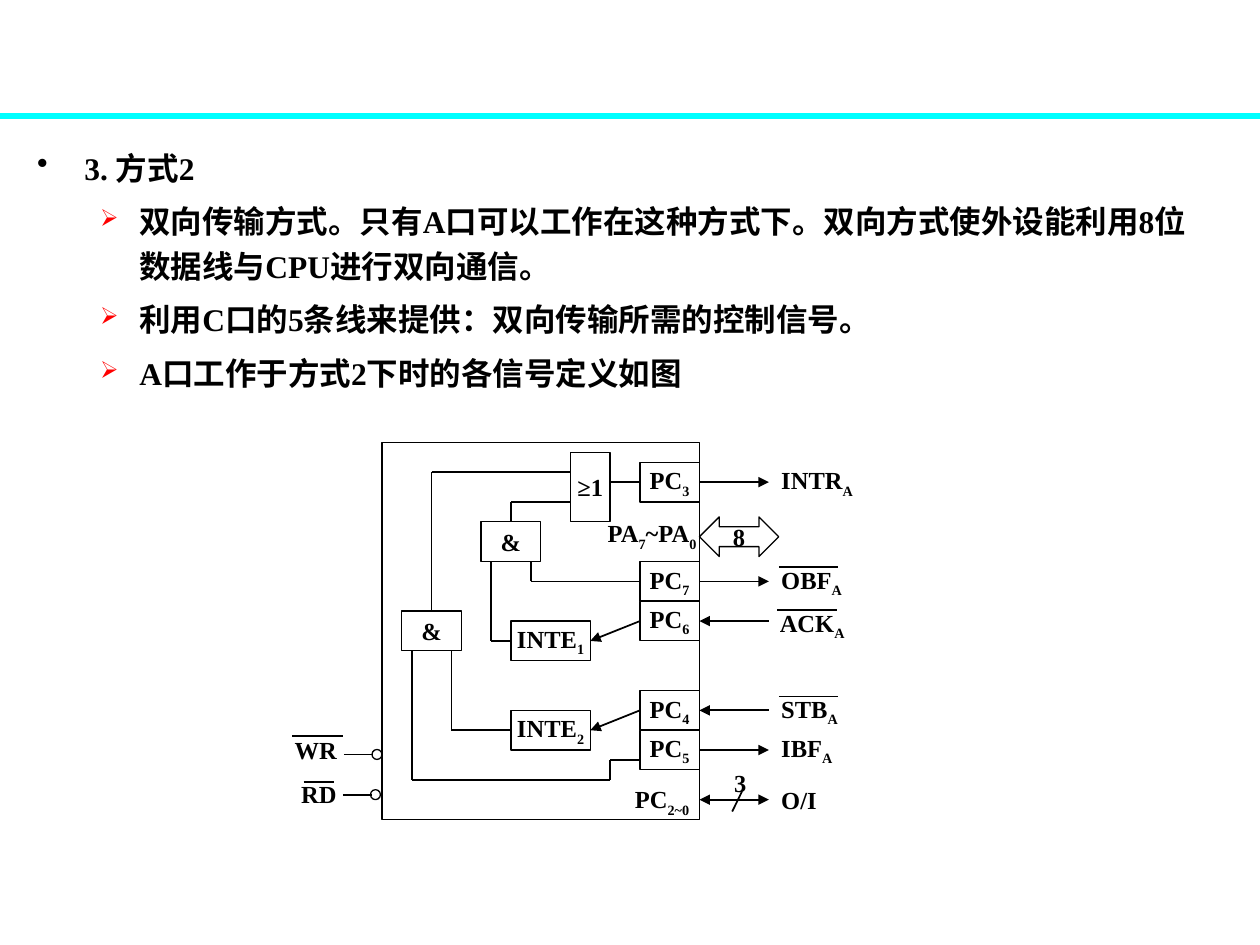
"""Build the slide on the bidirectional mode 2 of port A."""
from dataclasses import dataclass
from itertools import pairwise

from lxml import etree
from pptx import Presentation
from pptx import util as u
from pptx.dml.color import RGBColor
from pptx.enum import shapes, text
from pptx.oxml import ns

BLACK = RGBColor(0x00, 0x00, 0x00)
CYAN = RGBColor(0x00, 0xFF, 0xFF)
RED = RGBColor(0xFF, 0x00, 0x00)
FONT = "Times New Roman"
CHIP_X, CHIP_Y = 7.7, 8.92
CHIP_W, CHIP_H = 6.4, 7.6
ROW_H = 0.8
PIN_X, PIN_W = 5.2, 1.2
SIGNAL_X = 7.8


@dataclass(frozen=True)
class Block:
    wording: tuple[str, ...]
    x: float
    y: float
    w: float = PIN_W
    h: float = ROW_H
    kind: shapes.MSO_SHAPE = shapes.MSO_SHAPE.RECTANGLE


@dataclass(frozen=True)
class Label:
    wording: tuple[str, ...]
    x: float
    y: float
    w: float


@dataclass(frozen=True)
class Wire:
    points: tuple[tuple[float, float], ...]
    head: bool = False
    tail: bool = False


@dataclass(frozen=True)
class Point:
    wording: str
    level: int
    bullet: str
    color: RGBColor
    size: int
    margin: float
    hang: float


POINTS = [
    Point("3. 方式2", 0, "•", BLACK, 100, 0.95, 0.95),
    *(
        Point(wording, 1, "➢", RED, 75, 2.06, 0.79)
        for wording in (
            "双向传输方式。只有A口可以工作在这种方式下。双向方式使外设能利用8位数据线与CPU进行双向通信。",
            "利用C口的5条线来提供：双向传输所需的控制信号。",
            "A口工作于方式2下时的各信号定义如图",
        )
    ),
]

BLOCKS = [
    Block((), 0, 0, CHIP_W, CHIP_H),
    Block(("8",), 6.4, 1.5, 1.6, ROW_H, shapes.MSO_SHAPE.LEFT_RIGHT_ARROW),
    *(
        Block(("PC", number), PIN_X, y)
        for number, y in (("3", 0.4), ("7", 2.4), ("6", 3.2), ("4", 5), ("5", 5.8))
    ),
    *(Block(("INTE", number), 2.6, y, 1.6) for number, y in (("1", 3.6), ("2", 5.4))),
    Block(("≥1",), 3.8, 0.2, 0.8, 1.4),
    Block(("&",), 2, 1.6),
    Block(("&",), 0.4, 3.4),
    *(
        Block((), x, y, 0.2, 0.2, shapes.MSO_SHAPE.OVAL)
        for x, y in ((-0.2, 6.19), (-0.23, 7))
    ),
]

LABELS = [
    Label(("PA", "7", "~PA", "0"), 4.3, 1.47, 2.8),
    Label(("INTR", "A"), SIGNAL_X, 0.4, 2),
    Label(("OBF", "A"), SIGNAL_X, 2.4, 1.8),
    Label(("ACK", "A"), 7.77, 3.27, 2),
    Label(("STB", "A"), SIGNAL_X, 5, 1.8),
    Label(("IBF", "A"), SIGNAL_X, 5.8, 2),
    Label(("O/I",), SIGNAL_X, 6.8, 2),
    Label(("WR",), -2.01, 5.8, 1.4),
    Label(("RD",), -1.88, 6.68, 1.4),
    Label(("PC", "2~0"), 4.85, 6.83, 1.8),
    Label(("3",), 6.85, 6.45, 0.8),
]

WIRES = [
    *(
        Wire(((CHIP_W, y), (SIGNAL_X, y)), head, tail)
        for y, head, tail in (
            (0.8, False, True),
            (2.8, False, True),
            (3.6, True, False),
            (5.4, True, False),
            (6.2, False, True),
            (7.2, True, True),
        )
    ),
    *(Wire(((PIN_X, y), (4.2, y + 0.4)), tail=True) for y in (3.6, 5.4)),
    *(
        Wire(((left, y), (right, y)))
        for left, right, y in (
            (8, 9.2, 2.51),
            (7.97, 9.17, 3.37),
            (8, 9.2, 5.12),
            (-1.81, -0.79, 5.91),
            (-1.58, -0.97, 6.85),
            (-0.77, -0.18, 6.29),
            (-0.79, -0.21, 7.11),
            (4.6, PIN_X, 0.8),
        )
    ),
    Wire(((1, 3.4), (1, 0.6), (3.8, 0.6))),
    Wire(((2.6, 1.6), (2.6, 1.2), (3.8, 1.2))),
    Wire(((3, 2.4), (3, 2.8), (PIN_X, 2.8))),
    Wire(((2.2, 2.4), (2.2, 4), (2.6, 4))),
    Wire(((1.4, 4.2), (1.4, 5.8), (2.6, 5.8))),
    Wire(((0.6, 4.2), (0.6, 6.8), (4.6, 6.8), (4.6, 6.4), (PIN_X, 6.4))),
    Wire(((7.06, 7.44), (7.26, 7.03))),
]


def set_font(paragraph, size: int) -> None:
    """Apply the shared bold face to a paragraph."""
    font = paragraph.font
    font.name, font.size, font.bold = FONT, u.Pt(size), True
    font.color.rgb = BLACK


def write_signal(frame, wording: tuple[str, ...], align: text.PP_ALIGN) -> None:
    """Write alternating normal and subscript pieces."""
    frame.word_wrap = True
    frame.vertical_anchor = text.MSO_ANCHOR.MIDDLE
    paragraph = frame.paragraphs[0]
    paragraph.alignment = align
    set_font(paragraph, 14)
    for index, piece in enumerate(wording):
        run = paragraph.add_run()
        run.text = piece
        if index % 2:
            run._r.get_or_add_rPr().set("baseline", "-25000")


def draw_line(slide, start: tuple[float, float], end: tuple[float, float], color: RGBColor, width: float):
    """Draw a straight line between two positions in centimetres."""
    line = slide.shapes.add_connector(
        shapes.MSO_CONNECTOR.STRAIGHT, *(u.Cm(value) for value in (*start, *end))
    )
    line.line.color.rgb, line.line.width = color, u.Pt(width)
    etree.SubElement(line._element.spPr, ns.qn("a:effectLst"))
    return line


def draw_wire(slide, wire: Wire) -> None:
    """Draw each leg of a wire with its arrowheads."""
    for start, end in pairwise((CHIP_X + x, CHIP_Y + y) for x, y in wire.points):
        leg = draw_line(slide, start, end, BLACK, 1)
        for tag, wanted in (("a:headEnd", wire.head), ("a:tailEnd", wire.tail)):
            if wanted:
                etree.SubElement(leg.line._get_or_add_ln(), ns.qn(tag), type="triangle")


def draw_block(slide, block: Block) -> None:
    """Draw an outlined block with centred wording."""
    shape = slide.shapes.add_shape(
        block.kind, u.Cm(CHIP_X + block.x), u.Cm(CHIP_Y + block.y), u.Cm(block.w), u.Cm(block.h)
    )
    shape.shadow.inherit = False
    shape.fill.background()
    shape.line.color.rgb, shape.line.width = BLACK, u.Pt(0.75)
    if block.wording:
        frame = shape.text_frame
        if block.kind == shapes.MSO_SHAPE.RECTANGLE:
            frame.margin_left = frame.margin_right = frame.margin_top = frame.margin_bottom = u.Cm(0)
        write_signal(frame, block.wording, text.PP_ALIGN.CENTER)


def draw_label(slide, label: Label) -> None:
    """Place a signal name beside the chip."""
    box = slide.shapes.add_textbox(
        u.Cm(CHIP_X + label.x), u.Cm(CHIP_Y + label.y), u.Cm(label.w), u.Cm(ROW_H)
    )
    write_signal(box.text_frame, label.wording, text.PP_ALIGN.LEFT)


def write_points(slide, points: list[Point]) -> None:
    """Write the bulleted explanation."""
    frame = slide.shapes.add_textbox(u.Cm(0.5), u.Cm(2.72), u.Cm(23.8), u.Cm(6.2)).text_frame
    frame.word_wrap = True
    for index, point in enumerate(points):
        paragraph = frame.add_paragraph() if index else frame.paragraphs[0]
        paragraph.text, paragraph.level = point.wording, point.level
        paragraph.line_spacing = 1.2
        paragraph.space_before = u.Pt(4.5 if index else 0)
        props = paragraph._p.get_or_add_pPr()
        props.set("marL", str(u.Cm(point.margin)))
        props.set("indent", str(-u.Cm(point.hang)))
        color = etree.SubElement(props, ns.qn("a:buClr"))
        etree.SubElement(color, ns.qn("a:srgbClr"), val=str(point.color))
        etree.SubElement(props, ns.qn("a:buSzPct"), val=str(point.size * 1000))
        etree.SubElement(props, ns.qn("a:buChar"), char=point.bullet)
        set_font(paragraph, 18)


def main() -> None:
    """Assemble and save the slide."""
    deck = Presentation()
    deck.slide_width, deck.slide_height = u.Cm(25.4), u.Cm(19.05)
    slide = deck.slides.add_slide(deck.slide_layouts[6])
    draw_line(slide, (0, 2.34), (25.4, 2.34), CYAN, 3)
    write_points(slide, POINTS)
    for draw, items in ((draw_block, BLOCKS), (draw_wire, WIRES), (draw_label, LABELS)):
        for item in items:
            draw(slide, item)
    deck.save("out.pptx")


if __name__ == "__main__":
    main()
